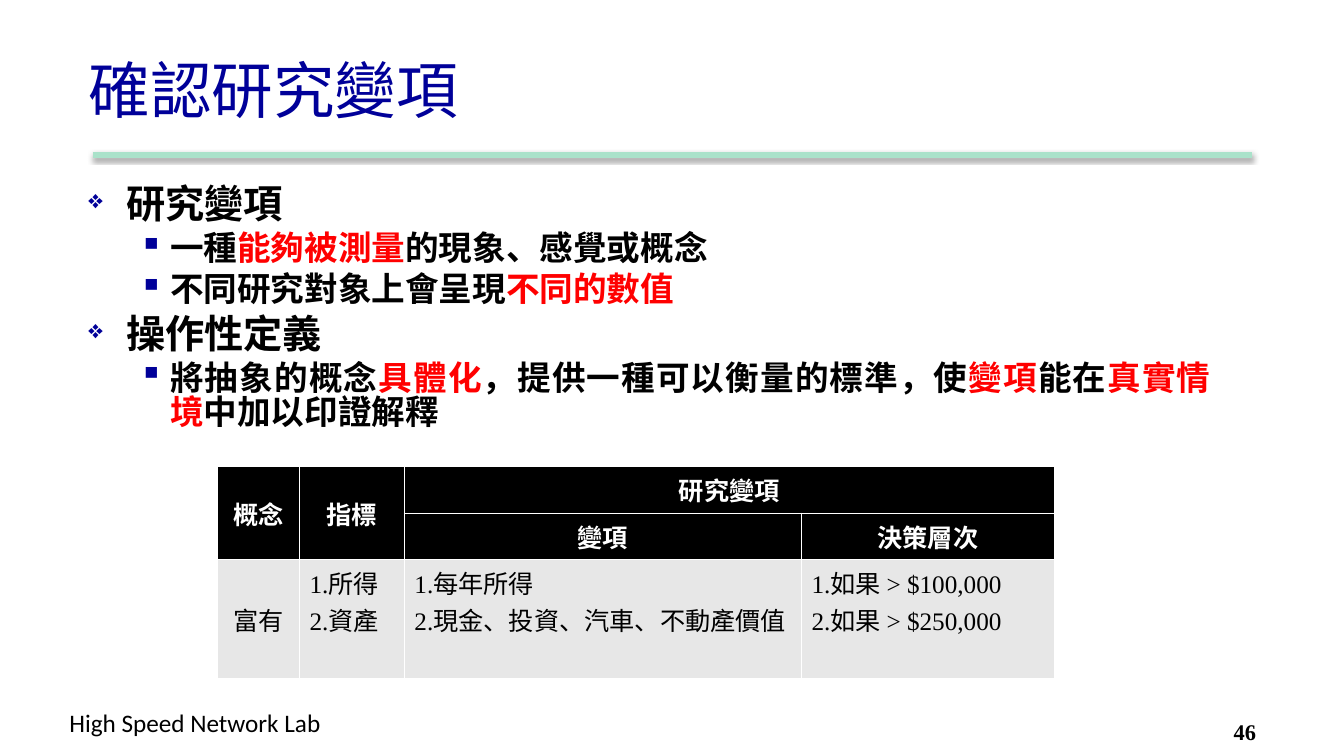
from lxml.etree import SubElement
from pptx import Presentation
from pptx.dml.color import RGBColor
from pptx.enum.shapes import MSO_CONNECTOR
from pptx.enum.text import MSO_ANCHOR as Anchor, PP_ALIGN as Align
from pptx.oxml import parse_xml
from pptx.oxml.ns import nsdecls, qn
from pptx.util import Cm, Pt

NAVY = RGBColor(0x00, 0x00, 0x99)
MINT = RGBColor(0xAA, 0xE2, 0xCA)
BLACK = RGBColor(0x00, 0x00, 0x00)
WHITE = RGBColor(0xFF, 0xFF, 0xFF)
RED = RGBColor(0xFF, 0x00, 0x00)
GREY = RGBColor(0xE7, 0xE7, 0xE7)
SERIF = "Times New Roman"
CJK = "Noto Sans CJK SC"

BULLETS = [
    (0, ["研究變項"]),
    (1, ["一種", "能夠被測量", "的現象、感覺或概念"]),
    (1, ["不同研究對象上會呈現", "不同的數值"]),
    (0, ["操作性定義"]),
    (1, ["將抽象的概念", "具體化", "，提供一種可以衡量的標準，使", "變項", "能在",
         "真實情境", "中加以印證解釋"]),
]
LEVELS = [
    {"size": 28, "indent": 0.95, "hanging": 0.95, "mark": "❖", "scale": 65},
    {"size": 24, "indent": 2.06, "hanging": 0.79, "mark": "▪", "scale": 100},
]
COLUMN_WIDTHS = [2.06, 2.64, 10.01, 6.37]
ROW_HEIGHTS = [1.17, 1.17, 3]
HEADER_ROWS = 2
CELLS = [
    [["概念"], ["指標"], ["研究變項"], []],
    [[], [], ["變項"], ["決策層次"]],
    [["富有"], ["1.所得", "2.資產"],
     ["1.每年所得", "2.現金、投資、汽車、不動產價值"],
     ["1.如果 > $100,000", "2.如果 > $250,000"]],
]
MERGES = [((0, 0), (1, 0)), ((0, 1), (1, 1)), ((0, 2), (0, 3))]


def write(paragraph, text, size=18, color=BLACK, bold=False, name=SERIF):
    """Add a formatted run to a paragraph."""
    run = paragraph.add_run()
    run.text = text
    font = run.font
    font.size, font.bold, font.name = Pt(size), bold, name
    font.color.rgb = color
    SubElement(font._element, qn("a:ea"), typeface=CJK)


def add_text_box(slide, left, top, width, height, wrap=True, anchor=Anchor.TOP):
    """Add an empty text box and return its text frame."""
    shape = slide.shapes.add_textbox(Cm(left), Cm(top), Cm(width), Cm(height))
    frame = shape.text_frame
    frame.word_wrap = wrap
    frame.vertical_anchor = anchor
    return frame


def add_rule(slide, left, top, right):
    """Draw the shadowed line under the title."""
    rule = slide.shapes.add_connector(
        MSO_CONNECTOR.STRAIGHT, Cm(left), Cm(top), Cm(right), Cm(top))
    rule.line.color.rgb = MINT
    rule.line.width = Pt(4.5)
    rule._element.spPr.append(parse_xml(
        f'<a:effectLst {nsdecls("a")}><a:outerShdw blurRad="{Pt(3.1)}" '
        f'dist="{Pt(1.6)}" dir="5400000"><a:srgbClr val="{BLACK}">'
        '<a:alpha val="38000"/></a:srgbClr></a:outerShdw></a:effectLst>'))


def set_bullet(paragraph, indent, hanging, mark, scale):
    """Give a paragraph a hanging indent and a navy bullet."""
    properties = paragraph._p.get_or_add_pPr()
    properties.set("marL", str(Cm(indent)))
    properties.set("indent", str(-Cm(hanging)))
    color = SubElement(properties, qn("a:buClr"))
    SubElement(color, qn("a:srgbClr"), val=str(NAVY))
    SubElement(properties, qn("a:buSzPct"), val=str(scale * 1000))
    SubElement(properties, qn("a:buChar"), char=mark)


def add_bullets(frame, bullets):
    """Fill a frame with bullets whose every second part is red."""
    for index, (level, parts) in enumerate(bullets):
        paragraph = frame.paragraphs[0] if index == 0 else frame.add_paragraph()
        style = dict(LEVELS[level])
        size = style.pop("size")
        set_bullet(paragraph, **style)
        paragraph.level = level
        paragraph.alignment = Align.JUSTIFY
        paragraph.line_spacing = 0.85
        paragraph.space_before = Pt(size * 0.2 if index else 0)
        for position, part in enumerate(parts):
            write(paragraph, part, size=size, bold=True,
                  color=RED if position % 2 else BLACK)


def set_borders(cell):
    """Draw white borders on all sides of a cell."""
    properties = cell._tc.get_or_add_tcPr()
    for side in ("lnL", "lnR", "lnT", "lnB"):
        border = SubElement(properties, qn(f"a:{side}"), w=str(Pt(1)))
        fill = SubElement(border, qn("a:solidFill"))
        SubElement(fill, qn("a:srgbClr"), val=str(WHITE))


def fill_cell(cell, lines, header, centered):
    """Format one table cell and write its lines."""
    set_borders(cell)
    cell.fill.solid()
    cell.fill.fore_color.rgb = BLACK if header else GREY
    cell.vertical_anchor = Anchor.MIDDLE if centered else Anchor.TOP
    frame = cell.text_frame
    for index, line in enumerate(lines):
        paragraph = frame.paragraphs[0] if index == 0 else frame.add_paragraph()
        paragraph.alignment = Align.CENTER if centered else Align.LEFT
        write(paragraph, line, bold=header, color=WHITE if header else BLACK,
              name=CJK if centered else SERIF)


def add_variable_table(slide, left, top):
    """Add the table of concept, indicator and variables."""
    table = slide.shapes.add_table(
        len(ROW_HEIGHTS), len(COLUMN_WIDTHS), Cm(left), Cm(top),
        Cm(sum(COLUMN_WIDTHS)), Cm(sum(ROW_HEIGHTS))).table
    for column, width in zip(table.columns, COLUMN_WIDTHS):
        column.width = Cm(width)
    for row, height in zip(table.rows, ROW_HEIGHTS):
        row.height = Cm(height)
    for start, end in MERGES:
        table.cell(*start).merge(table.cell(*end))
    for row, contents in enumerate(CELLS):
        for column, lines in enumerate(contents):
            header = row < HEADER_ROWS
            fill_cell(table.cell(row, column), lines, header,
                      centered=header or column == 0)


def main():
    """Build and save the slide."""
    presentation = Presentation()
    presentation.slide_width, presentation.slide_height = Cm(33.87), Cm(19.05)
    slide = presentation.slides.add_slide(presentation.slide_layouts[6])
    add_rule(slide, 2.34, 3.91, 31.55)
    footer = add_text_box(slide, 1.5, 17.7, 7.09, 1.02, wrap=False)
    write(footer.paragraphs[0], "High Speed Network Lab", name="Calibri")
    add_bullets(add_text_box(slide, 1.98, 4.57, 28.78, 12.9), BULLETS)
    number = add_text_box(slide, 30.84, 17.96, 2.51, 0.76)
    write(number.paragraphs[0], "46", size=16, bold=True)
    title = add_text_box(slide, 1.98, 0.64, 28.78, 3.18, anchor=Anchor.MIDDLE)
    write(title.paragraphs[0], "確認研究變項", size=44, color=NAVY)
    add_variable_table(slide, 5.49, 11.76)
    presentation.save("out.pptx")


if __name__ == "__main__":
    main()
